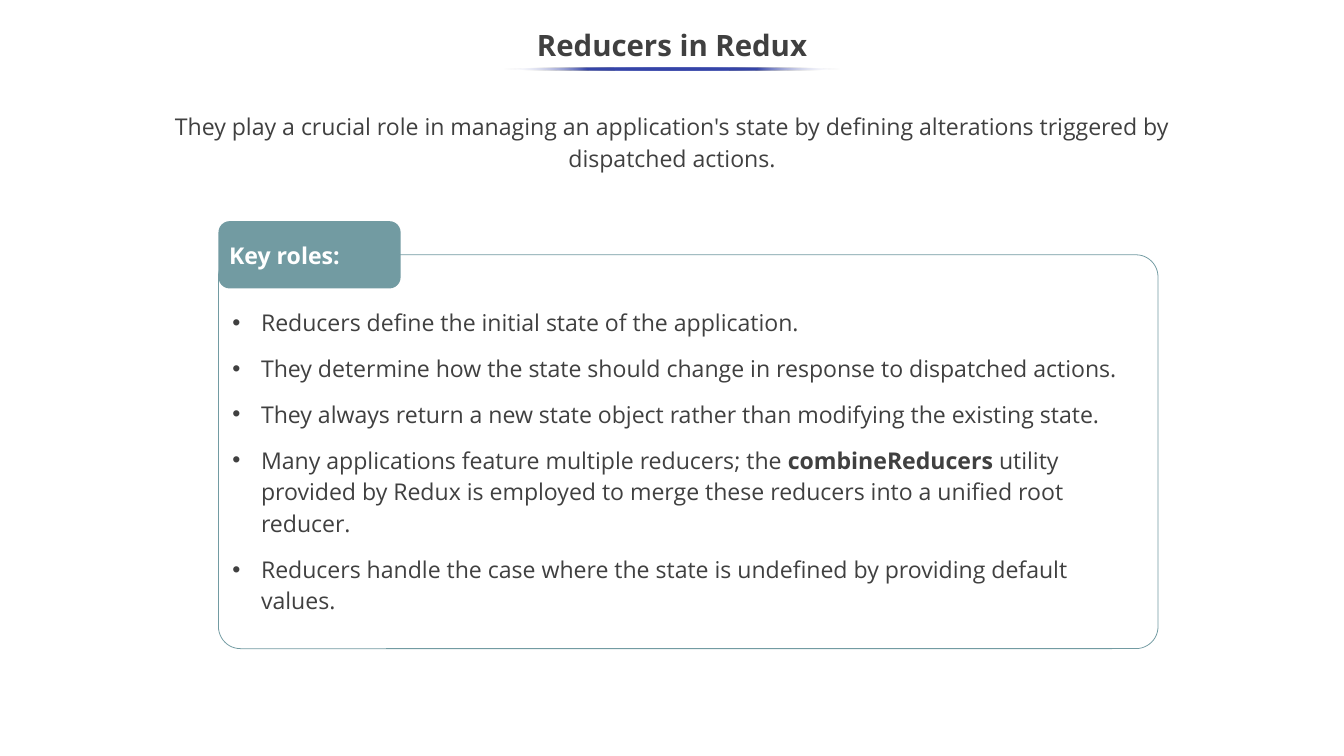
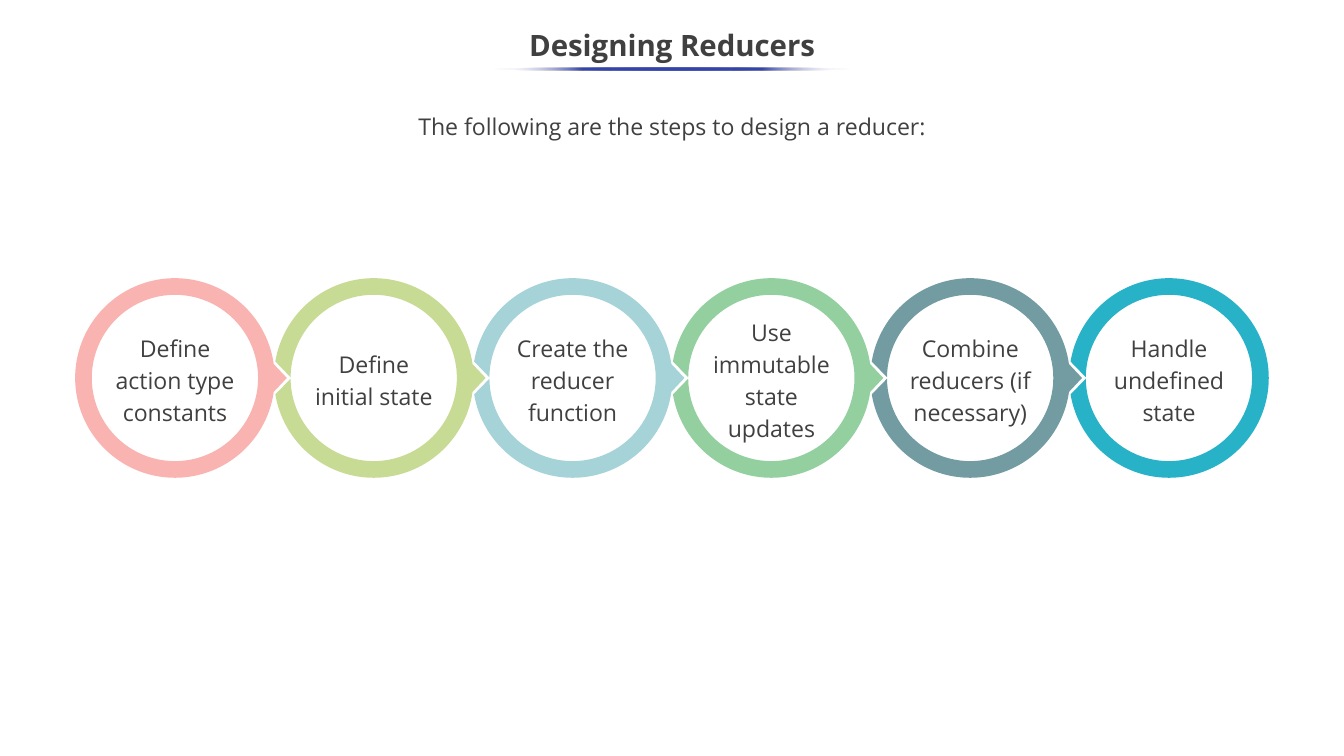
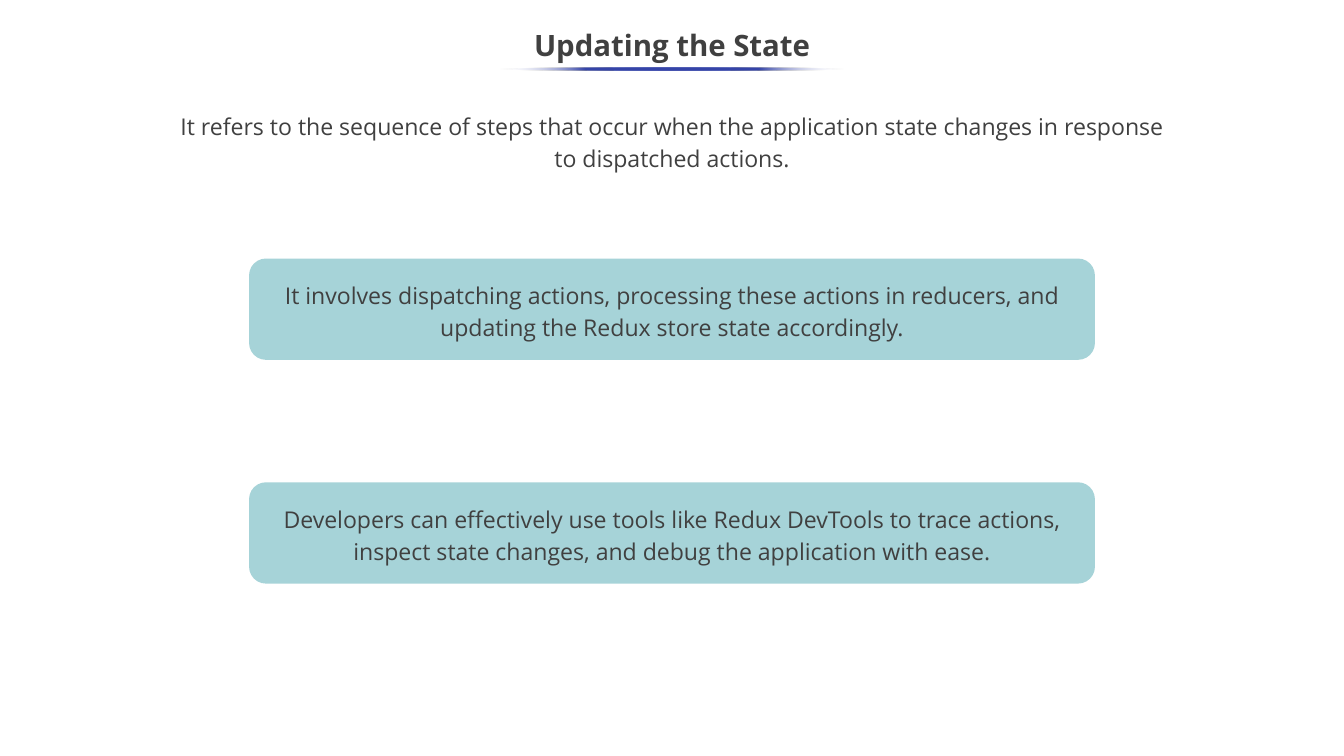
"""Build three slides on Redux reducers: roles, design steps and state updates."""
import math

from lxml import etree
from pptx import Presentation
from pptx.dml.color import RGBColor
from pptx.enum import shapes, text
from pptx.oxml import ns
from pptx.util import Inches, Pt

COLOURS = {
    "ink": "404040", "white": "FFFFFF", "rule": "3645A9",
    "pink": "F9B4B1", "lime": "C7DB95", "aqua": "A6D3D8",
    "green": "93CF9F", "slate": "729BA2", "teal": "28B2C7",
}
FONT = "Open Sans"
WIDTH, HEIGHT = 17.78, 10

ROLES = {
    "title": "Reducers in Redux", "rule": 4.47, "lead_width": 14.04,
    "lead": "They play a crucial role in managing an application's state by "
            "defining alterations triggered by dispatched actions.",
    "tab": "Key roles:",
    "bullets": [
        ["Reducers define the initial state of the application."],
        ["They determine how the state should change in response to dispatched actions."],
        ["They always return a new state object rather than modifying the existing state."],
        ["Many applications feature multiple reducers; the ", "combineReducers",
         " utility provided by Redux is employed to merge these reducers into a unified root reducer."],
        ["Reducers handle the case where the state is undefined by providing default values."],
    ],
}
DESIGN = {
    "title": "Designing Reducers", "rule": 4.73, "lead_width": 14.98,
    "lead": "The following are the steps to design a reducer:",
    "steps": [
        ("pink", ["Define", "action type", "constants"]),
        ("lime", ["Define", "initial state"]),
        ("aqua", ["Create the reducer function"]),
        ("green", ["Use immutable state", "updates"]),
        ("slate", ["Combine reducers (if necessary)"]),
        ("teal", ["Handle undefined state"]),
    ],
}
UPDATE = {
    "title": "Updating the State", "rule": 4.56, "lead_width": 13.48,
    "lead": "It refers to the sequence of steps that occur when the application "
            "state changes in response to dispatched actions.",
    "notes": [
        "It involves dispatching actions, processing these actions in reducers, "
        "and updating the Redux store state accordingly.",
        "Developers can effectively use tools like Redux DevTools to trace actions, "
        "inspect state changes, and debug the application with ease.",
    ],
}

FRAME = {
    "word_wrap": True, "vertical_anchor": text.MSO_ANCHOR.MIDDLE,
    "margin_left": Inches(0.1), "margin_right": Inches(0.1),
    "margin_top": 0, "margin_bottom": 0,
}
PARAGRAPH = {"alignment": text.PP_ALIGN.CENTER, "line_spacing": 1.15}
TOP = {"vertical_anchor": text.MSO_ANCHOR.TOP}
LEFT = {"alignment": text.PP_ALIGN.LEFT}


def rgb(name):
    """Return the named colour."""
    return RGBColor.from_string(COLOURS[name])


def apply(target, *formats):
    """Set every attribute of the given formats on the target."""
    for values in formats:
        for key, value in values.items():
            setattr(target, key, value)


def centred(width):
    """Return the left edge that centres a width on the slide."""
    return (WIDTH - width) / 2


def paint(shape, fill=None, line=None):
    """Give a shape a flat fill and an optional thin outline."""
    shape.shadow.inherit = False
    if fill:
        shape.fill.solid()
        shape.fill.fore_color.rgb = rgb(fill)
    else:
        shape.fill.background()
    if line:
        shape.line.color.rgb = rgb(line)
        shape.line.width = Pt(0.75)
    else:
        shape.line.fill.background()


def add_preset(slide, kind, box, fill=None, line=None, corner=None):
    """Add a painted preset shape."""
    shape = slide.shapes.add_shape(kind, *map(Inches, box))
    paint(shape, fill, line)
    if corner:
        shape.adjustments[0] = corner
    return shape


def add_bullet(paragraph):
    """Turn a paragraph into a hanging bullet."""
    props = paragraph._p.get_or_add_pPr()
    indent = Inches(0.38)
    props.set("marL", str(indent))
    props.set("indent", str(-indent))
    etree.SubElement(props, ns.qn("a:buFont")).set("typeface", "Arial")
    etree.SubElement(props, ns.qn("a:buChar")).set("char", "•")


def write(shape, paragraphs, frame={}, layout={}, font={}, bullet_gap=None):
    """Fill a shape with paragraphs; every second segment of one is bold."""
    body = shape.text_frame
    apply(body, FRAME, frame)
    for index, segments in enumerate(paragraphs):
        paragraph = body.paragraphs[0] if index == 0 else body.add_paragraph()
        apply(paragraph, PARAGRAPH, layout)
        if bullet_gap:
            if index:
                paragraph.space_before = Pt(bullet_gap)
            add_bullet(paragraph)
        for place, words in enumerate(segments):
            run = paragraph.add_run()
            run.text = words
            apply(run.font, {"name": FONT, "size": Pt(22), "bold": place % 2 == 1}, font)
            run.font.color.rgb = rgb("ink")
    return body


def add_text(slide, box, paragraphs, **formats):
    """Add a text box."""
    write(slide.shapes.add_textbox(*map(Inches, box)), paragraphs, **formats)


def add_rule(slide, width):
    """Add the title underline that fades out at both ends."""
    rule = add_preset(slide, shapes.MSO_SHAPE.OVAL, (centred(width), 0.89, width, 0.04), "rule")
    flat = rule._element.spPr.find(ns.qn("a:solidFill"))
    fade = etree.Element(ns.qn("a:gradFill"), rotWithShape="1")
    stops = etree.SubElement(fade, ns.qn("a:gsLst"))
    for share, name in zip(range(0, 101, 25), ["white", "rule", "rule", "rule", "white"]):
        stop = etree.SubElement(stops, ns.qn("a:gs"), pos=str(share * 1000))
        colour = etree.SubElement(stop, ns.qn("a:srgbClr"), val=COLOURS[name])
        if name == "white":
            etree.SubElement(colour, ns.qn("a:alpha"), val="0")
    etree.SubElement(fade, ns.qn("a:lin"), ang="10800000", scaled="0")
    flat.getparent().replace(flat, fade)


def start_slide(deck, content):
    """Add a slide with its title, underline and lead sentence."""
    slide = deck.slides.add_slide(deck.slide_layouts[6])
    width = content["lead_width"]
    add_text(slide, (centred(width), 1.43, width, 0.99), [[content["lead"]]], frame=TOP)
    add_text(slide, (0, 0.25, WIDTH, 0.75), [[content["title"]]],
             layout={"line_spacing": 0.9}, font={"size": Pt(28), "bold": True})
    add_rule(slide, content["rule"])
    return slide


def arc(centre, radius, start, end):
    """Return (point, curve) corners of an arc cut at each quarter turn."""
    step = 1 if end > start else -1
    quarters = [q for q in range(-360, 361, 90) if min(start, end) < q < max(start, end)]
    angles = [start, *quarters[::step], end]
    corners = []
    for before, angle in zip([None] + angles, angles):
        turn = math.radians(angle)
        point = (Inches(centre[0] + radius * math.cos(turn)),
                 Inches(centre[1] + radius * math.sin(turn)))
        corners.append((point, None if before is None else (radius, before, angle - before)))
    return corners


def add_ring(slide, centre, fill, notched, pointed):
    """Add a ring with an optional notch at its left and point at its right."""
    outer, inner, notch = 1.32, 1.1, 9.5
    shoulder = 8 if pointed else 0
    tip = [((Inches(centre[0] + 1.48), Inches(centre[1])), None)] if pointed else []
    if notched:
        contours = [tip + arc(centre, outer, -shoulder, notch - 180)
                    + arc(centre, inner, -179.5, 179.5)
                    + arc(centre, outer, 180 - notch, shoulder)]
    else:
        contours = [tip + arc(centre, outer, -shoulder, shoulder - 360),
                    arc(centre, inner, 0, 360)]
    builder = slide.shapes.build_freeform(*contours[0][0][0])
    for index, corners in enumerate(contours):
        points = [point for point, _ in corners]
        if index:
            builder.move_to(*points[0])
        builder.add_line_segments(points[1:], close=True)
    ring = builder.convert_to_shape()
    paint(ring, fill)
    curves = [curve for corners in contours for _, curve in corners[1:]]
    for side, curve in zip(list(ring._element.iter(ns.qn("a:lnTo"))), curves):
        if curve:
            radius, start, sweep = curve
            bend = etree.Element(ns.qn("a:arcTo"), wR=str(Inches(radius)), hR=str(Inches(radius)),
                                 stAng=str(round(start % 360 * 60000)),
                                 swAng=str(round(sweep * 60000)))
            side.getparent().replace(side, bend)


def build_roles(deck):
    """Build the slide with the framed list of roles."""
    slide = start_slide(deck, ROLES)
    left, top, tab_height = 2.89, 3.37, 0.89
    rounded = shapes.MSO_SHAPE.ROUNDED_RECTANGLE
    panel = add_preset(slide, rounded, (left, top, 12.43, 5.21), line="slate", corner=0.056)
    write(panel, ROLES["bullets"], frame={**TOP, "margin_top": Inches(0.57)},
          layout={**LEFT, "line_spacing": 1.14}, bullet_gap=13.7)
    tab = add_preset(slide, rounded, (left, top - tab_height / 2, 2.41, tab_height), "slate")
    body = write(tab, [[ROLES["tab"]]], layout={**LEFT, "line_spacing": 1}, font={"bold": True})
    body.paragraphs[0].runs[0].font.color.rgb = rgb("white")


def build_design(deck):
    """Build the slide with the chain of step rings."""
    slide = start_slide(deck, DESIGN)
    steps = DESIGN["steps"]
    pitch, label_width, label_height = 2.63, 2.32, 1.78
    first = WIDTH / 2 - pitch * (len(steps) - 1) / 2
    for index, (fill, lines) in enumerate(steps):
        x, y = first + pitch * index, HEIGHT / 2
        add_ring(slide, (x, y), fill, index > 0, index < len(steps) - 1)
        add_text(slide, (x - label_width / 2, y - label_height / 2, label_width, label_height),
                 [[line] for line in lines])


def build_update(deck):
    """Build the slide with the two notes."""
    slide = start_slide(deck, UPDATE)
    width, height, top, pitch = 11.19, 1.34, 3.42, 2.96
    for index, note in enumerate(UPDATE["notes"]):
        box = (centred(width), top + pitch * index, width, height)
        write(add_preset(slide, shapes.MSO_SHAPE.ROUNDED_RECTANGLE, box, "aqua"), [[note]])


def main():
    """Build and save the deck."""
    deck = Presentation()
    deck.slide_width, deck.slide_height = Inches(WIDTH), Inches(HEIGHT)
    for build in (build_roles, build_design, build_update):
        build(deck)
    deck.save("out.pptx")


if __name__ == "__main__":
    main()
